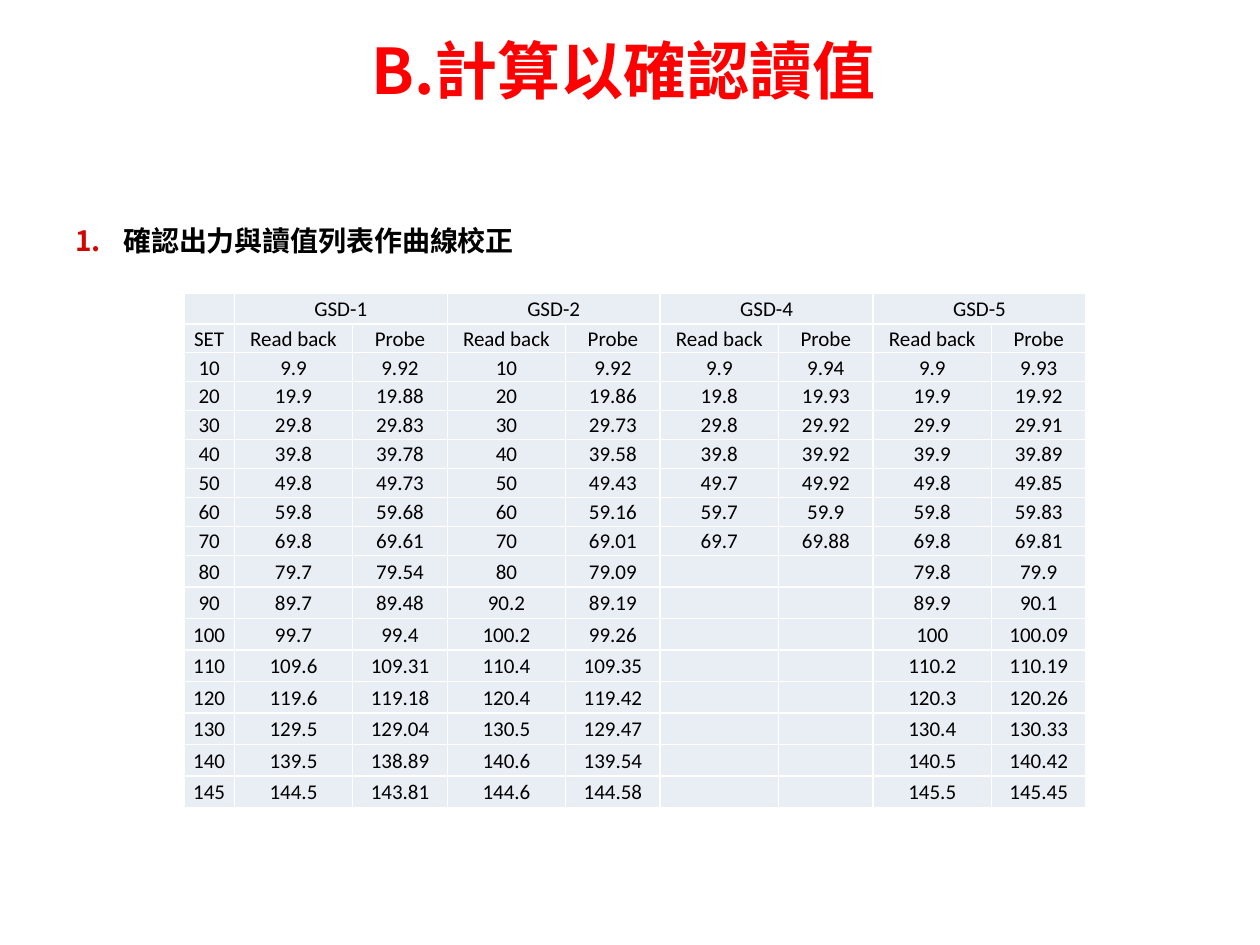
from lxml import etree
from pptx import Presentation
from pptx import util as u
from pptx.dml.color import RGBColor
from pptx.enum import text
from pptx.oxml import ns

COLORS = {"title": "FF0000", "number": "D00600", "ink": "000000",
          "cell": "E9EDF4", "border": "FFFFFF"}
LATIN, CJK = "Calibri", "Noto Sans CJK SC"
MODELS = ["GSD-1", "GSD-2", "GSD-4", "GSD-5"]
# SET, then read back and probe for each model
READINGS = """
10,9.9,9.92,10,9.92,9.9,9.94,9.9,9.93
20,19.9,19.88,20,19.86,19.8,19.93,19.9,19.92
30,29.8,29.83,30,29.73,29.8,29.92,29.9,29.91
40,39.8,39.78,40,39.58,39.8,39.92,39.9,39.89
50,49.8,49.73,50,49.43,49.7,49.92,49.8,49.85
60,59.8,59.68,60,59.16,59.7,59.9,59.8,59.83
70,69.8,69.61,70,69.01,69.7,69.88,69.8,69.81
80,79.7,79.54,80,79.09,,,79.8,79.9
90,89.7,89.48,90.2,89.19,,,89.9,90.1
100,99.7,99.4,100.2,99.26,,,100,100.09
110,109.6,109.31,110.4,109.35,,,110.2,110.19
120,119.6,119.18,120.4,119.42,,,120.3,120.26
130,129.5,129.04,130.5,129.47,,,130.4,130.33
140,139.5,138.89,140.6,139.54,,,140.5,140.42
145,144.5,143.81,144.6,144.58,,,145.5,145.45
"""


def add_element(parent, tag, **attributes):
    return etree.SubElement(parent, ns.qn(tag), attributes)


def add_span(para, words, size, color, latin=LATIN, bold=False):
    span = para.add_run()
    span.text = words
    span.font.size = u.Pt(size)
    span.font.bold = bold
    span.font.name = latin
    span.font.color.rgb = RGBColor.from_string(COLORS[color])
    add_element(span.font._element, "a:ea", typeface=CJK)


def add_text_box(page, left, top, width, height, margins):
    box = page.shapes.add_textbox(*map(u.Inches, (left, top, width, height)))
    frame = box.text_frame
    frame.word_wrap = True
    frame.vertical_anchor = text.MSO_ANCHOR.TOP
    frame.margin_left, frame.margin_top, frame.margin_right = map(u.Inches, margins)
    return frame.paragraphs[0]


def add_title(page, left, top, width, height):
    para = add_text_box(page, left, top, width, height, (0, 0, 0.1))
    para.alignment = text.PP_ALIGN.CENTER
    add_span(para, "B.計算以確認讀值", 36, "title", CJK, bold=True)


def add_numbered_step(page, left, top, width, height):
    para = add_text_box(page, left, top, width, height, (0.1, 0.02, 0.1))
    props = para._p.get_or_add_pPr()
    indent = u.Inches(0.38)
    props.set("marL", str(indent))
    props.set("indent", str(-indent))
    add_element(add_element(props, "a:buClr"), "a:srgbClr", val=COLORS["number"])
    add_element(props, "a:buFont", typeface=CJK)
    add_element(props, "a:buAutoNum", type="arabicPeriod")
    add_span(para, "確認出力與讀值列表作曲線校正", 16, "ink", bold=True)


def style_cell(cell):
    cell.margin_left = cell.margin_top = cell.margin_right = u.Inches(0.01)
    cell.margin_bottom = 0
    cell.vertical_anchor = text.MSO_ANCHOR.MIDDLE
    props = cell._tc.get_or_add_tcPr()
    for side in ("a:lnL", "a:lnR", "a:lnT", "a:lnB"):
        line = add_element(props, side, w=str(u.Pt(1)))
        add_element(add_element(line, "a:solidFill"), "a:srgbClr", val=COLORS["border"])
    cell.fill.solid()
    cell.fill.fore_color.rgb = RGBColor.from_string(COLORS["cell"])


def fill_cell(cell, words):
    style_cell(cell)
    para = cell.text_frame.paragraphs[0]
    para.alignment = text.PP_ALIGN.CENTER
    if words:
        add_span(para, words, 12, "ink")
    else:
        add_element(para._p, "a:endParaRPr", sz=str(12 * 100))


def add_readings_table(page, left, top):
    rows = [[""] + [words for model in MODELS for words in (model, "")],
            ["SET"] + ["Read back", "Probe"] * len(MODELS)]
    rows += [line.split(",") for line in READINGS.split()]
    widths = [0.4] + [0.94, 0.75] * len(MODELS)
    heights = [0.24] + [0.23] * 8 + [0.25] * 8
    table = page.shapes.add_table(
        len(rows), len(widths), u.Inches(left), u.Inches(top),
        u.Inches(sum(widths)), u.Inches(sum(heights))).table
    table.first_row = table.horz_banding = False
    for column, width in zip(table.columns, widths):
        column.width = u.Inches(width)
    for row, height in zip(table.rows, heights):
        row.height = u.Inches(height)
    for row, values in enumerate(rows):
        for column, words in enumerate(values):
            fill_cell(table.cell(row, column), words)
    for column in range(1, len(widths), 2):
        table.cell(0, column).merge(table.cell(0, column + 1))


def main():
    deck = Presentation()
    deck.slide_width, deck.slide_height = u.Inches(10), u.Inches(7.5)
    page = deck.slides.add_slide(deck.slide_layouts[6])
    add_title(page, 0.5, 0.25, 9, 1.25)
    add_numbered_step(page, 0.5, 1.75, 9, 4.95)
    add_readings_table(page, 1.46, 2.33)
    deck.save("out.pptx")


if __name__ == "__main__":
    main()
